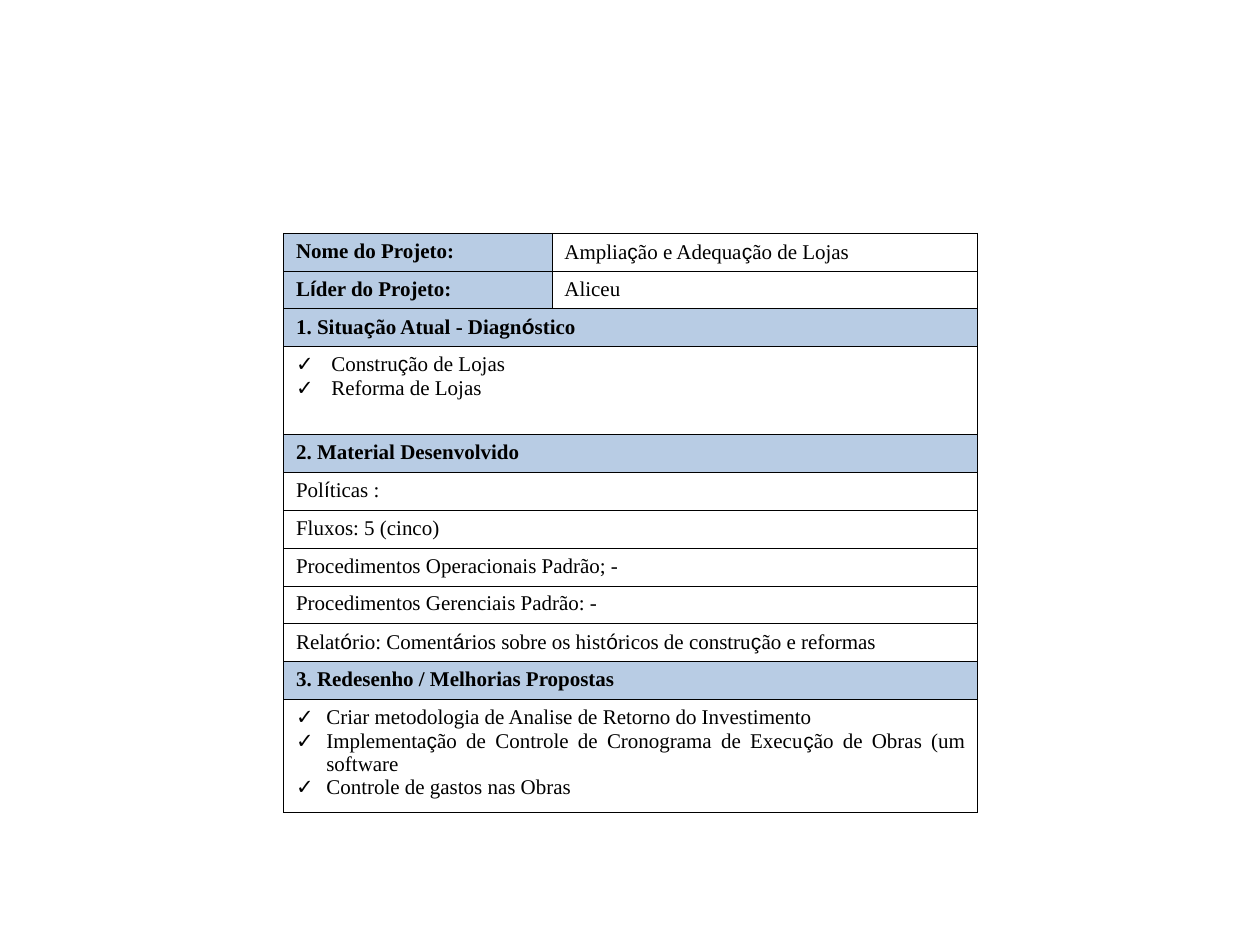
from itertools import groupby

from lxml import etree
from pptx import Presentation
from pptx.dml.color import RGBColor
from pptx.enum.text import MSO_ANCHOR, PP_ALIGN
from pptx.oxml.ns import qn
from pptx.util import Inches, Pt

LEFT, JUST = PP_ALIGN.LEFT, PP_ALIGN.JUSTIFY
TOP, MID = MSO_ANCHOR.TOP, MSO_ANCHOR.MIDDLE
COLORS = {"head": "B8CCE4", "body": "FFFFFF", "ink": "000000"}
ACCENTS = "çíóá"  # letters set in Arial

# Each style: fill colour, bold, alignment, anchor, bullet indent in inches
STYLES = {
    "head": ("head", True, JUST, TOP, 0),
    "value": ("body", False, LEFT, MID, 0),
    "line": ("body", False, LEFT, TOP, 0),
    "report": ("body", False, JUST, TOP, 0),
    "now": ("body", False, JUST, TOP, 0.28),
    "plan": ("body", False, JUST, TOP, 0.24),
}

# Each row: height, then (style, paragraphs) for each cell; one cell spans all
ROWS = [
    (0.3, ("head", ["Nome do Projeto:"]),
     ("value", ["Ampliação e Adequação de Lojas"])),
    (0.3, ("head", ["Líder do Projeto:"]), ("value", ["Aliceu"])),
    (0.3, ("head", ["1. Situação Atual - Diagnóstico"])),
    (0.7, ("now", ["Construção de Lojas", "Reforma de Lojas"])),
    (0.3, ("head", ["2. Material Desenvolvido"])),
    (0.3, ("line", ["Políticas :"])),
    (0.3, ("line", ["Fluxos: 5 (cinco)"])),
    (0.3, ("line", ["Procedimentos Operacionais Padrão; -"])),
    (0.3, ("line", ["Procedimentos Gerenciais Padrão: -"])),
    (0.3, ("report", ["Relatório: Comentários sobre os históricos de "
                      "construção e reformas"])),
    (0.3, ("head", ["3. Redesenho / Melhorias Propostas"])),
    (0.9, ("plan", ["Criar metodologia de Analise de Retorno do Investimento",
                    "Implementação de Controle de Cronograma de Execução "
                    "de Obras (um software",
                    "Controle de gastos nas Obras"])),
]
COLS = [2.13, 3.38]
X, Y = 2.25, 1.85


def rgb(name):
    return RGBColor.from_string(COLORS[name])


def frame(cell):
    """Draw a thin line on all four sides of a cell."""
    props = cell._tc.get_or_add_tcPr()
    for side in ("lnL", "lnR", "lnT", "lnB"):
        line = etree.SubElement(props, qn("a:" + side), w=str(Pt(0.45)))
        fill = etree.SubElement(line, qn("a:solidFill"))
        etree.SubElement(fill, qn("a:srgbClr"), val=COLORS["ink"])


def bullet(para, indent):
    """Hang a paragraph on a check mark."""
    props = para._p.get_or_add_pPr()
    props.set("marL", str(Inches(indent)))
    props.set("indent", str(-Inches(indent)))
    etree.SubElement(props, qn("a:buFont"), typeface="Arial")
    etree.SubElement(props, qn("a:buChar"), char="✓")


def write(para, text, bold):
    for accent, chars in groupby(text, lambda char: char in ACCENTS):
        run = para.add_run()
        run.text = "".join(chars)
        look = {"name": "Arial" if accent else "Times New Roman",
                "size": Pt(12), "bold": bold}
        for key, value in look.items():
            setattr(run.font, key, value)
        run.font.color.rgb = rgb("ink")


def fill_cell(cell, style, texts):
    fill, bold, align, anchor, indent = STYLES[style]
    cell.fill.solid()
    cell.fill.fore_color.rgb = rgb(fill)
    cell.vertical_anchor = anchor
    for i, text in enumerate(texts):
        paras = cell.text_frame
        para = paras.add_paragraph() if i else paras.paragraphs[0]
        para.alignment = align
        if indent:
            bullet(para, indent)
        write(para, text, bold)


def main():
    deck = Presentation()
    deck.slide_width, deck.slide_height = Inches(10), Inches(7.5)
    slide = deck.slides.add_slide(deck.slide_layouts[6])
    high = sum(row[0] for row in ROWS)
    table = slide.shapes.add_table(
        len(ROWS), len(COLS), Inches(X), Inches(Y),
        Inches(sum(COLS)), Inches(high)).table
    table.first_row = table.horz_banding = False
    for col, width in zip(table.columns, COLS):
        col.width = Inches(width)
    for r, (height, *cells) in enumerate(ROWS):
        table.rows[r].height = Inches(height)
        for cell in table.rows[r].cells:
            frame(cell)
        if len(cells) == 1:
            table.cell(r, 0).merge(table.cell(r, len(COLS) - 1))
        for c, (style, texts) in enumerate(cells):
            fill_cell(table.cell(r, c), style, texts)
    deck.save("out.pptx")


if __name__ == "__main__":
    main()
